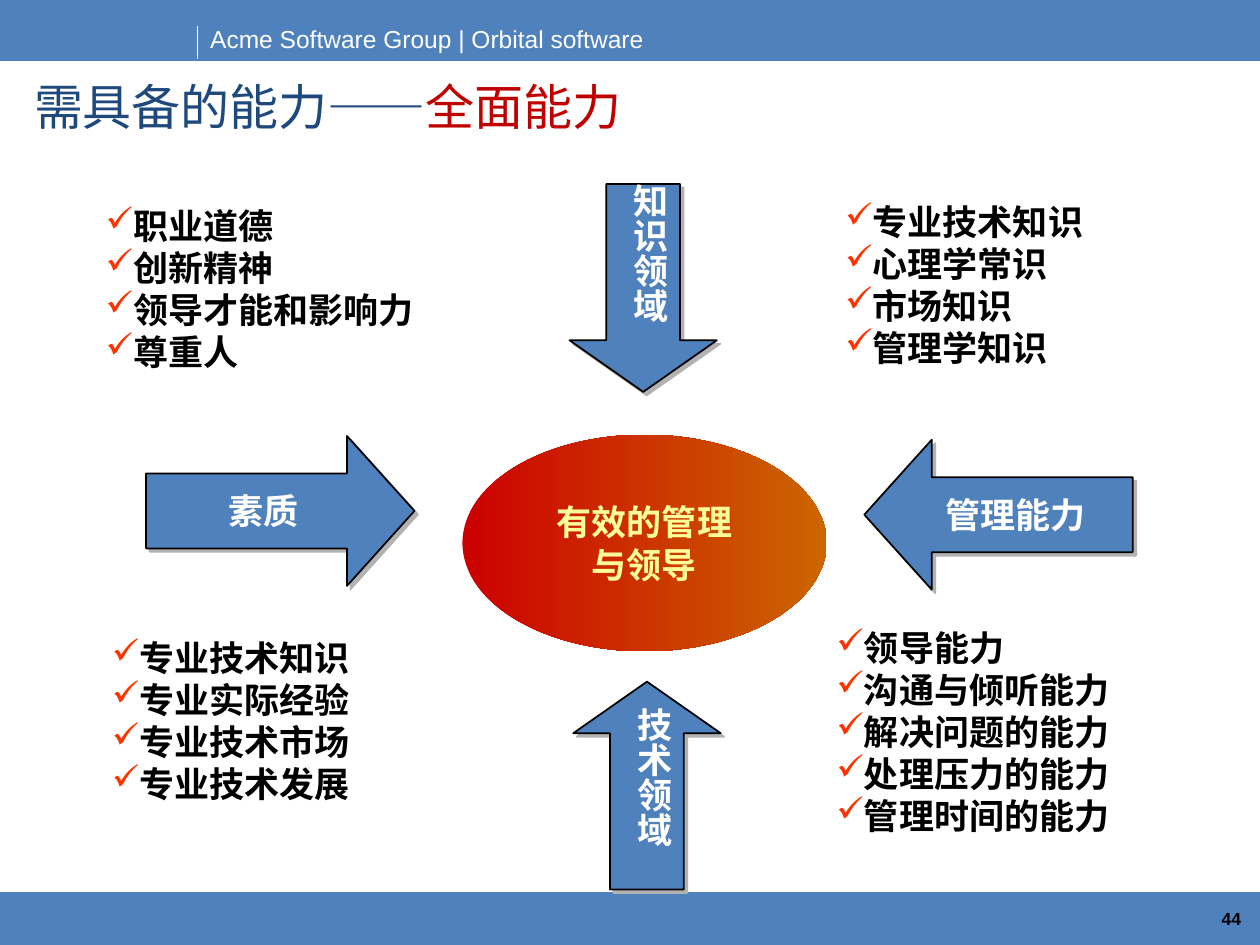
from dataclasses import dataclass

from lxml.etree import SubElement
from pptx import Presentation
from pptx.dml.color import RGBColor
from pptx.enum.shapes import MSO_CONNECTOR, MSO_SHAPE
from pptx.enum.text import MSO_ANCHOR, MSO_AUTO_SIZE, PP_ALIGN
from pptx.oxml import parse_xml
from pptx.oxml.ns import nsdecls, qn
from pptx.util import Inches, Pt


@dataclass(frozen=True)
class Theme:
    blue: str = "4F81BD"
    navy: str = "1F497D"
    red: str = "C00000"
    white: str = "FFFFFF"
    black: str = "000000"
    yellow: str = "FFFF99"
    check: str = "FF3300"
    shadow: str = "B2B2B2"
    gradient: tuple = ("CC0000", "CC6600")
    sans: str = "Arial"
    serif: str = "Times New Roman"
    mono: str = "DejaVu Sans Mono"
    title: int = 28
    body: int = 20
    header: int = 14
    number: int = 10


T = Theme()
WIDTH, HEIGHT = Inches(10), Inches(7.5)
INSET = (0.1, 0.05, 0.1, 0.05)

# All places are left, top, width, height in percent of the slide.
BARS = [(0, 94.4, 100, 5.6), (0, 0, 100, 6.4)]
HEADER = ("Acme Software Group | Orbital software", (15.7, 1.87, 40, 4.4))
HEADER_RULE = (15.7, 2.8, 0, 3.47)
TITLE = ([("需具备的能力——", T.navy), ("全面能力", T.red)], (1.7, 8.13, 96.8, 6.93))
ARROWS = [
    ("知识领域", MSO_SHAPE.DOWN_ARROW, (45.2, 19.47), True),
    ("管理能力", MSO_SHAPE.LEFT_ARROW, (68.6, 46.53), False),
    ("素质", MSO_SHAPE.RIGHT_ARROW, (11.6, 46.13), False),
    ("技术领域", MSO_SHAPE.UP_ARROW, (45.5, 72.13), True),
]
VERTICAL = {"size": (11.7, 22), "head": 0.35, "inset": (0.04, 0, 0.04, 0), "spacing": 0.6}
HORIZONTAL = {"size": (21.3, 15.87), "head": 0.45, "inset": INSET, "spacing": 1}
CENTRE = (["有效的管理", "与领导"], (36.7, 46, 28.9, 22.93))
LISTS = [
    (["职业道德", "创新精神", "领导才能和影响力", "尊重人"], (7.4, 20.93, 29.8, 23.73)),
    (["领导能力", "沟通与倾听能力", "解决问题的能力", "处理压力的能力", "管理时间的能力"],
     (65.4, 65.6, 31, 23.73)),
    (["专业技术知识", "心理学常识", "市场知识", "管理学知识"], (66.1, 20.53, 25.4, 19.33)),
    (["专业技术知识", "专业实际经验", "专业技术市场", "专业技术发展"], (7.9, 66.67, 24.6, 19.33)),
]
NUMBER = ("44", (91.1, 96.13, 7.4, 2.27))


def rgb(color):
    return RGBColor.from_string(color)


def place(box):
    return [int(whole * share / 100) for whole, share in zip((WIDTH, HEIGHT) * 2, box)]


def add_run(p, text, size, font, color, bold=False):
    r = p.add_run()
    r.text = text
    r.font.size, r.font.name, r.font.bold = Pt(size), font, bold
    r.font.color.rgb = rgb(color)


def set_frame(tf, inset=INSET, wrap=True, anchor=MSO_ANCHOR.TOP):
    tf.auto_size = MSO_AUTO_SIZE.NONE
    tf.word_wrap, tf.vertical_anchor = wrap, anchor
    tf.margin_left, tf.margin_top, tf.margin_right, tf.margin_bottom = map(Inches, inset)


def write_lines(tf, lines, color, align, spacing=None):
    for i, line in enumerate(lines):
        p = tf.add_paragraph() if i else tf.paragraphs[0]
        p.alignment, p.line_spacing = align, spacing
        add_run(p, line, T.body, T.serif, color, True)


def add_text(s, box, inset=INSET):
    tf = s.shapes.add_textbox(*place(box)).text_frame
    set_frame(tf, inset)
    return tf


def add_filled(s, kind, box, line=None, width=1):
    sp = s.shapes.add_shape(kind, *place(box))
    sp.shadow.inherit = False
    sp.fill.solid()
    sp.fill.fore_color.rgb = rgb(T.blue)
    if line:
        sp.line.color.rgb, sp.line.width = rgb(line), Pt(width)
    else:
        sp.line.fill.background()
    return sp


def add_arrow(s, text, kind, corner, upright):
    style = VERTICAL if upright else HORIZONTAL
    sp = add_filled(s, kind, corner + style["size"], T.black)
    sp.adjustments[1] = style["head"]
    sp.element.spPr.find(qn("a:effectLst")).append(parse_xml(
        f'<a:outerShdw {nsdecls("a")} dist="{Pt(2.8)}" dir="2700000" algn="ctr" rotWithShape="0">'
        f'<a:srgbClr val="{T.shadow}"/></a:outerShdw>'))
    set_frame(sp.text_frame, style["inset"], False, MSO_ANCHOR.MIDDLE)
    if upright:
        sp.element.txBody.bodyPr.set("vert", "eaVert")
    write_lines(sp.text_frame, [text], T.white, PP_ALIGN.CENTER, style["spacing"])


def add_centre(s, lines, box):
    sp = add_filled(s, MSO_SHAPE.OVAL, box)
    sp.fill.gradient()
    sp.fill.gradient_angle = 0
    for stop, color in zip(sp.fill.gradient_stops, T.gradient):
        stop.color.rgb = rgb(color)
    set_frame(sp.text_frame, wrap=False, anchor=MSO_ANCHOR.MIDDLE)
    write_lines(sp.text_frame, lines, T.yellow, PP_ALIGN.CENTER)


def add_checklist(s, lines, box):
    tf = add_text(s, box)
    write_lines(tf, lines, T.black, PP_ALIGN.LEFT)
    for p in tf.paragraphs:
        pPr = p._p.get_or_add_pPr()
        pPr.set("marL", str(Inches(0.21)))
        pPr.set("indent", str(-Inches(0.21)))
        SubElement(SubElement(pPr, qn("a:buClr")), qn("a:srgbClr")).set("val", T.check)
        SubElement(pPr, qn("a:buChar")).set("char", "✓")


def add_title(s, parts, box):
    sp = s.shapes.title
    sp.left, sp.top, sp.width, sp.height = place(box)
    set_frame(sp.text_frame, anchor=MSO_ANCHOR.MIDDLE)
    p = sp.text_frame.paragraphs[0]
    p.alignment, p.line_spacing = PP_ALIGN.LEFT, 0.9
    for text, color in parts:
        add_run(p, text, T.title, T.mono, color)


def add_rule(s, box):
    x, y, w, h = place(box)
    c = s.shapes.add_connector(MSO_CONNECTOR.STRAIGHT, x, y, x + w, y + h)
    c.line.color.rgb, c.line.width = rgb(T.white), Pt(0.75)
    SubElement(c._element.spPr, qn("a:effectLst"))


def main():
    """Build the slide on all-round abilities and save it."""
    prs = Presentation()
    prs.slide_width, prs.slide_height = WIDTH, HEIGHT
    s = prs.slides.add_slide(prs.slide_layouts[5])
    for box in BARS:
        add_filled(s, MSO_SHAPE.RECTANGLE, box, T.blue, 0.25)
    text, box = HEADER
    add_run(add_text(s, box).paragraphs[0], text, T.header, T.sans, T.white)
    add_rule(s, HEADER_RULE)
    add_title(s, *TITLE)
    for arrow in ARROWS:
        add_arrow(s, *arrow)
    add_centre(s, *CENTRE)
    for checklist in LISTS:
        add_checklist(s, *checklist)
    text, box = NUMBER
    p = add_text(s, box, (0, 0, 0, 0)).paragraphs[0]
    p.alignment = PP_ALIGN.RIGHT
    add_run(p, text, T.number, T.sans, T.black, True)
    prs.save("out.pptx")


if __name__ == "__main__":
    main()
